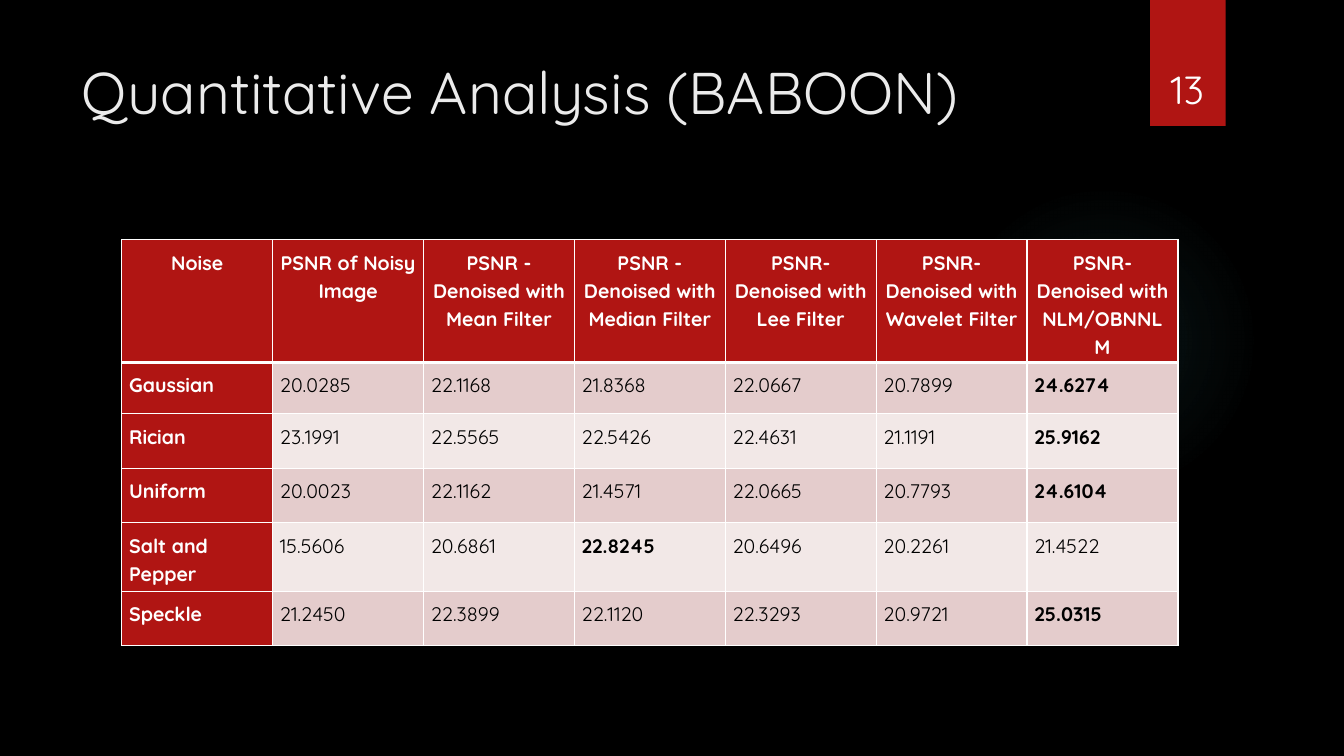
from pptx import Presentation
from pptx.dml.color import RGBColor
from pptx.enum.shapes import MSO_SHAPE
from pptx.enum.text import MSO_ANCHOR, MSO_AUTO_SIZE, PP_ALIGN
from pptx.oxml import parse_xml
from pptx.oxml.ns import nsdecls
from pptx.util import Pt

FONT = "Quicksand"
BLACK = RGBColor(0x00, 0x00, 0x00)
WHITE = RGBColor(0xFF, 0xFF, 0xFF)
PALE = RGBColor(0xEB, 0xEB, 0xEB)
RED = RGBColor(0xB0, 0x15, 0x13)
ROSE = RGBColor(0xE4, 0xCC, 0xCC)
BLUSH = RGBColor(0xF2, 0xE8, 0xE7)
TEAL = RGBColor(0x50, 0xB9, 0xC1)

HEADS = [
    "Noise",
    "PSNR of Noisy Image",
    "PSNR - Denoised with Mean Filter",
    "PSNR - Denoised with Median Filter",
    "PSNR- Denoised with Lee Filter",
    "PSNR-Denoised with Wavelet Filter",
    "PSNR-Denoised with NLM/OBNNLM",
]
ROWS = [
    ("Gaussian", "20.0285", "22.1168", "21.8368", "22.0667", "20.7899", "24.6274"),
    ("Rician", "23.1991", "22.5565", "22.5426", "22.4631", "21.1191", "25.9162"),
    ("Uniform", "20.0023", "22.1162", "21.4571", "22.0665", "20.7793", "24.6104"),
    ("Salt and Pepper", "15.5606", "20.6861", "22.8245", "20.6496", "20.2261", "21.4522"),
    ("Speckle", "21.2450", "22.3899", "22.1120", "22.3293", "20.9721", "25.0315"),
]
HEIGHTS = [85.7, 36.7, 38.9, 38.9, 38.9, 38.9]


def write(frame, text, size, color, align=PP_ALIGN.LEFT, bold=False):
    para = frame.paragraphs[0]
    para.text = text
    para.alignment = align
    font = para.font
    font.name, font.size, font.bold = FONT, Pt(size), bold
    font.color.rgb = color
    return para


def add_shape(slide, kind, left, top, width, height):
    shape = slide.shapes.add_shape(kind, Pt(left), Pt(top), Pt(width), Pt(height))
    shape.shadow.inherit = False
    shape.line.fill.background()
    return shape


def add_glow(slide):
    glow = add_shape(slide, MSO_SHAPE.OVAL, 677.5, 131.8, 221.8, 221.8)
    stops = "".join(
        f'<a:gs pos="{pos}000"><a:srgbClr val="{TEAL}">'
        f'<a:alpha val="{alpha}000"/></a:srgbClr></a:gs>'
        for pos, alpha in [(0, 7), (36, 6), (69, 0), (100, 0)]
    )
    fill = parse_xml(
        f'<a:gradFill {nsdecls("a")} rotWithShape="1"><a:gsLst>{stops}</a:gsLst>'
        '<a:path path="circle">'
        '<a:fillToRect l="50000" t="50000" r="50000" b="50000"/>'
        '</a:path></a:gradFill>'
    )
    glow.element.spPr.insert(2, fill)


def add_title(slide, text):
    title = slide.shapes.title
    title.left, title.top = Pt(51.1), Pt(36)
    title.width, title.height = Pt(740.9), Pt(110.2)
    frame = title.text_frame
    frame.auto_size = MSO_AUTO_SIZE.NONE
    frame.vertical_anchor = MSO_ANCHOR.TOP
    write(frame, text, 42, PALE)


def add_number(slide, text):
    tab = add_shape(slide, MSO_SHAPE.RECTANGLE, 821.5, 0, 54, 90)
    tab.fill.solid()
    tab.fill.fore_color.rgb = RED
    box = slide.shapes.add_textbox(Pt(815), Pt(23), Pt(66.2), Pt(60.5))
    frame = box.text_frame
    frame.word_wrap = True
    frame.vertical_anchor = MSO_ANCHOR.BOTTOM
    write(frame, text, 28, WHITE, PP_ALIGN.CENTER)


def add_edge(cell, side, width):
    cell._tc.get_or_add_tcPr().append(parse_xml(
        f'<a:ln{side} {nsdecls("a")} w="{Pt(width)}"><a:solidFill>'
        f'<a:srgbClr val="{WHITE}"/></a:solidFill></a:ln{side}>'
    ))


def fill_cell(cell, text, row, col, best):
    head = row == 0
    label = head or col == 0
    cell.margin_left = cell.margin_right = Pt(5.2)
    cell.margin_top = cell.margin_bottom = Pt(5.2)
    para = write(
        cell.text_frame, text, 14, WHITE if label else BLACK,
        PP_ALIGN.CENTER if head else PP_ALIGN.LEFT, label or text == best,
    )
    para.line_spacing = 1.15
    for side, thick in [("L", False), ("R", False), ("T", row == 1), ("B", head)]:
        add_edge(cell, side, 3 if thick else 1)
    cell.fill.solid()
    cell.fill.fore_color.rgb = RED if label else ROSE if row % 2 else BLUSH


def add_grid(slide):
    rows = [HEADS, *ROWS]
    table = slide.shapes.add_table(
        len(rows), len(HEADS), Pt(87), Pt(171.2), Pt(754.6), Pt(sum(HEIGHTS))
    ).table
    table.horz_banding = False
    table.first_row = False
    for col in table.columns:
        col.width = Pt(107.8)
    for i, texts in enumerate(rows):
        table.rows[i].height = Pt(HEIGHTS[i])
        best = max(texts[1:])
        for j, text in enumerate(texts):
            fill_cell(table.cell(i, j), text, i, j, best)


def main():
    deck = Presentation()
    deck.slide_width, deck.slide_height = Pt(960), Pt(540)
    slide = deck.slides.add_slide(deck.slide_layouts[5])
    slide.background.fill.solid()
    slide.background.fill.fore_color.rgb = BLACK
    add_glow(slide)
    add_title(slide, "Quantitative Analysis (BABOON)")
    add_number(slide, "13")
    add_grid(slide)
    deck.save("out.pptx")


if __name__ == "__main__":
    main()
